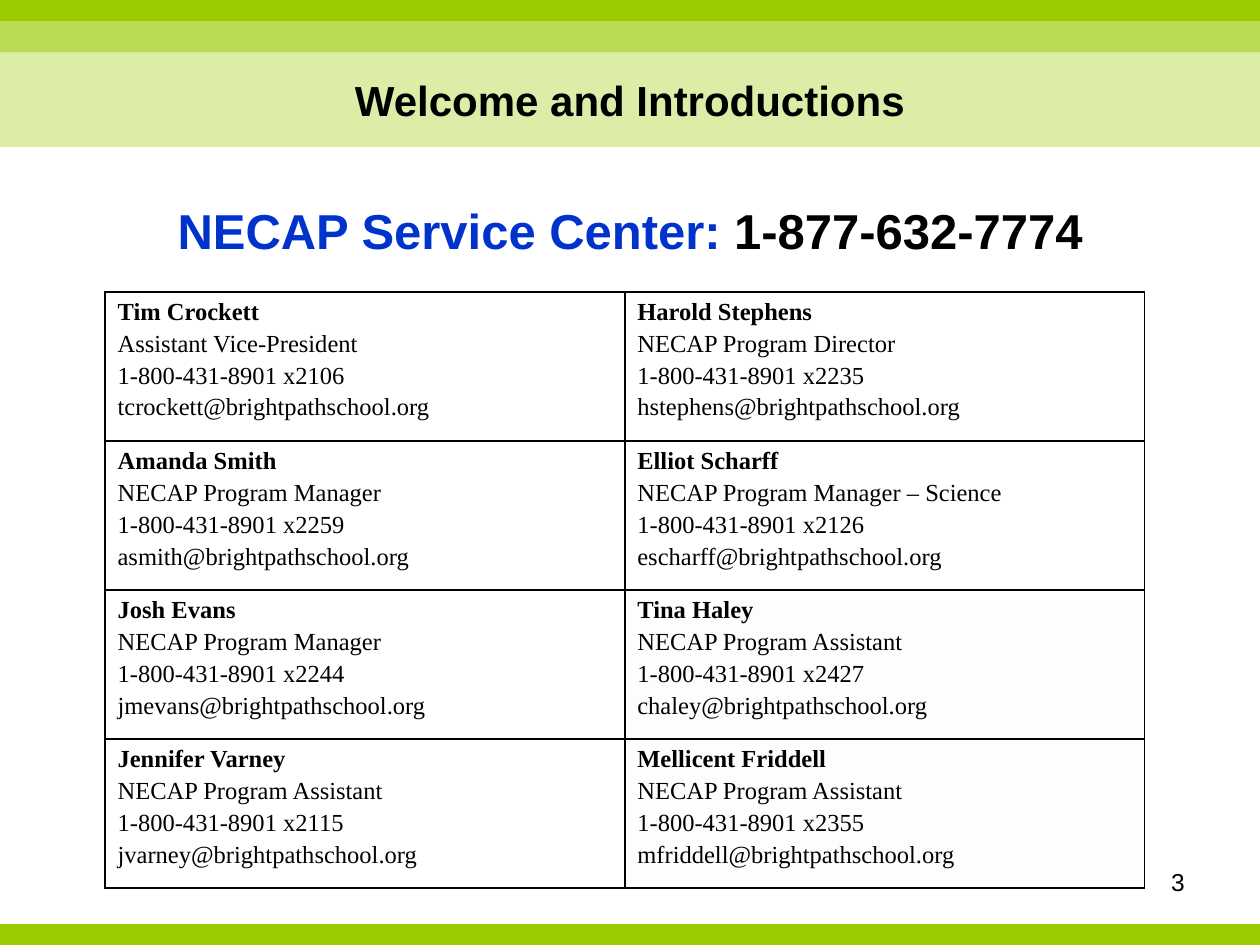
"""Build the welcome slide with the service center contact table."""
import pptx
import pptx.dml.color
import pptx.enum.shapes
import pptx.enum.text
import pptx.oxml.ns
import pptx.util
from lxml import etree

ALIGN = pptx.enum.text.PP_ALIGN
ANCHOR = pptx.enum.text.MSO_ANCHOR
GREEN = "99CC00"
BLACK = "000000"


def color(hex_string):
    return pptx.dml.color.RGBColor.from_string(hex_string)


def write(paragraph, text, size=14, font="Arial", ink=BLACK, bold=False,
          align=ALIGN.LEFT, before=0):
    paragraph.alignment = align
    paragraph.space_before = pptx.util.Pt(before)
    run = paragraph.add_run()
    run.text = text
    run.font.size = pptx.util.Pt(size)
    run.font.name = font
    run.font.bold = bold
    run.font.color.rgb = color(ink)


deck = pptx.Presentation()
deck.slide_width = pptx.util.Inches(10)
deck.slide_height = pptx.util.Inches(7.5)
slide = deck.slides.add_slide(deck.slide_layouts[6])
unit = deck.slide_width // 120

hotline = slide.shapes.add_textbox(0, int(18.5 * unit), 120 * unit, 8 * unit)
hotline.text_frame.word_wrap = True
hotline_line = hotline.text_frame.paragraphs[0]
write(hotline_line, "NECAP Service Center:", size=28, ink="0033CC", bold=True, align=ALIGN.CENTER)
write(hotline_line, " 1-877-632-7774", size=28, bold=True, align=ALIGN.CENTER)

DOMAIN = "@brightpathschool.org"
PHONE = "1-800-431-8901 x"
staff = [
    ("Tim Crockett", "Assistant Vice-President", "2106", "tcrockett"),
    ("Harold Stephens", "NECAP Program Director", "2235", "hstephens"),
    ("Amanda Smith", "NECAP Program Manager", "2259", "asmith"),
    ("Elliot Scharff", "NECAP Program Manager – Science", "2126", "escharff"),
    ("Josh Evans", "NECAP Program Manager", "2244", "jmevans"),
    ("Tina Haley", "NECAP Program Assistant", "2427", "chaley"),
    ("Jennifer Varney", "NECAP Program Assistant", "2115", "jvarney"),
    ("Mellicent Friddell", "NECAP Program Assistant", "2355", "mfriddell"),
]
contacts = slide.shapes.add_table(
    4, 2, 10 * unit, int(27.8 * unit), 99 * unit, int(56.8 * unit)).table
contacts.first_row = False
contacts.horz_banding = False

for index, (name, role, extension, mailbox) in enumerate(staff):
    row, column = divmod(index, 2)
    cell = contacts.cell(row, column)
    cell.margin_left = cell.margin_right = pptx.util.Inches(0.1)
    cell.margin_top = cell.margin_bottom = pptx.util.Inches(0.05)
    if column == 1 and row >= 2:
        cell.fill.solid()
        cell.fill.fore_color.rgb = color("FCFEFE")
    else:
        cell.fill.background()
    properties = cell._tc.get_or_add_tcPr()
    for position, side in enumerate(("a:lnL", "a:lnR", "a:lnT", "a:lnB")):
        border = etree.Element(pptx.oxml.ns.qn(side), w=str(pptx.util.Pt(1.08)))
        stroke = etree.SubElement(border, pptx.oxml.ns.qn("a:solidFill"))
        etree.SubElement(stroke, pptx.oxml.ns.qn("a:srgbClr"), val=BLACK)
        properties.insert(position, border)
    for line, text in enumerate((name, role, PHONE + extension, mailbox + DOMAIN)):
        frame = cell.text_frame
        paragraph = frame.add_paragraph() if line else frame.paragraphs[0]
        write(paragraph, text, font="Times New Roman", bold=line == 0,
              before=2.8 if line else 0)

for top, height, opacity, heading in [
    (0, 2, 100, ""),
    (1, 4, 67, ""),
    (5, 9, 34, "Welcome and Introductions"),
    (88, 2, 100, ""),
]:
    band = slide.shapes.add_shape(
        pptx.enum.shapes.MSO_SHAPE.RECTANGLE, 0, top * unit, 120 * unit, height * unit)
    band.shadow.inherit = False
    band.line.fill.background()
    band.fill.solid()
    band.fill.fore_color.rgb = color(GREEN)
    if opacity < 100:
        tint = band._element.spPr.find(".//" + pptx.oxml.ns.qn("a:srgbClr"))
        etree.SubElement(tint, pptx.oxml.ns.qn("a:alpha"), val=str(opacity * 1000))
    if heading:
        band.text_frame.word_wrap = False
        band.text_frame.vertical_anchor = ANCHOR.MIDDLE
        write(band.text_frame.paragraphs[0], heading, size=24, bold=True, align=ALIGN.CENTER)

page = slide.shapes.add_textbox(86 * unit, 82 * unit, 28 * unit, 6 * unit)
page.text_frame.word_wrap = True
write(page.text_frame.paragraphs[0], "3", align=ALIGN.RIGHT)

deck.save("out.pptx")
